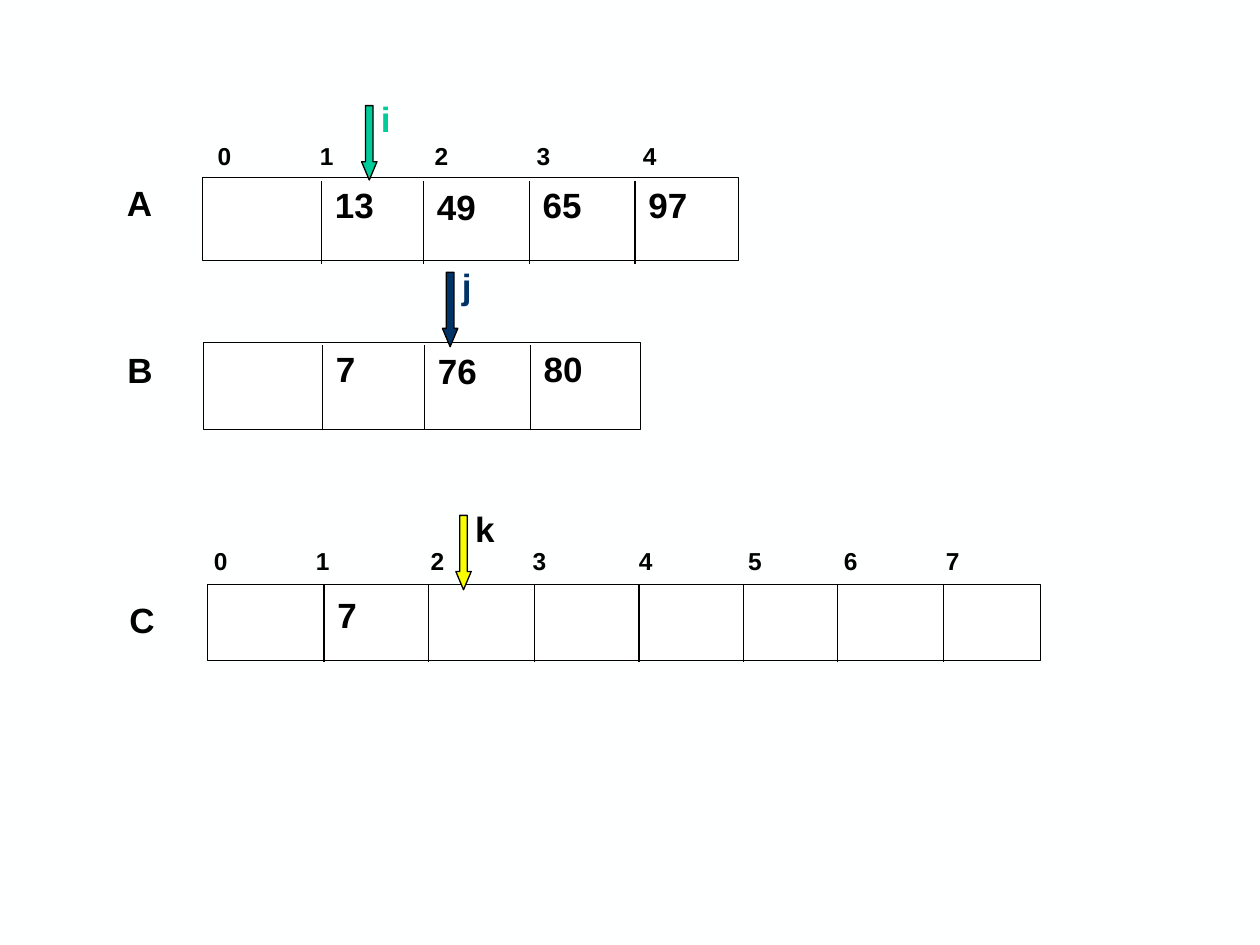
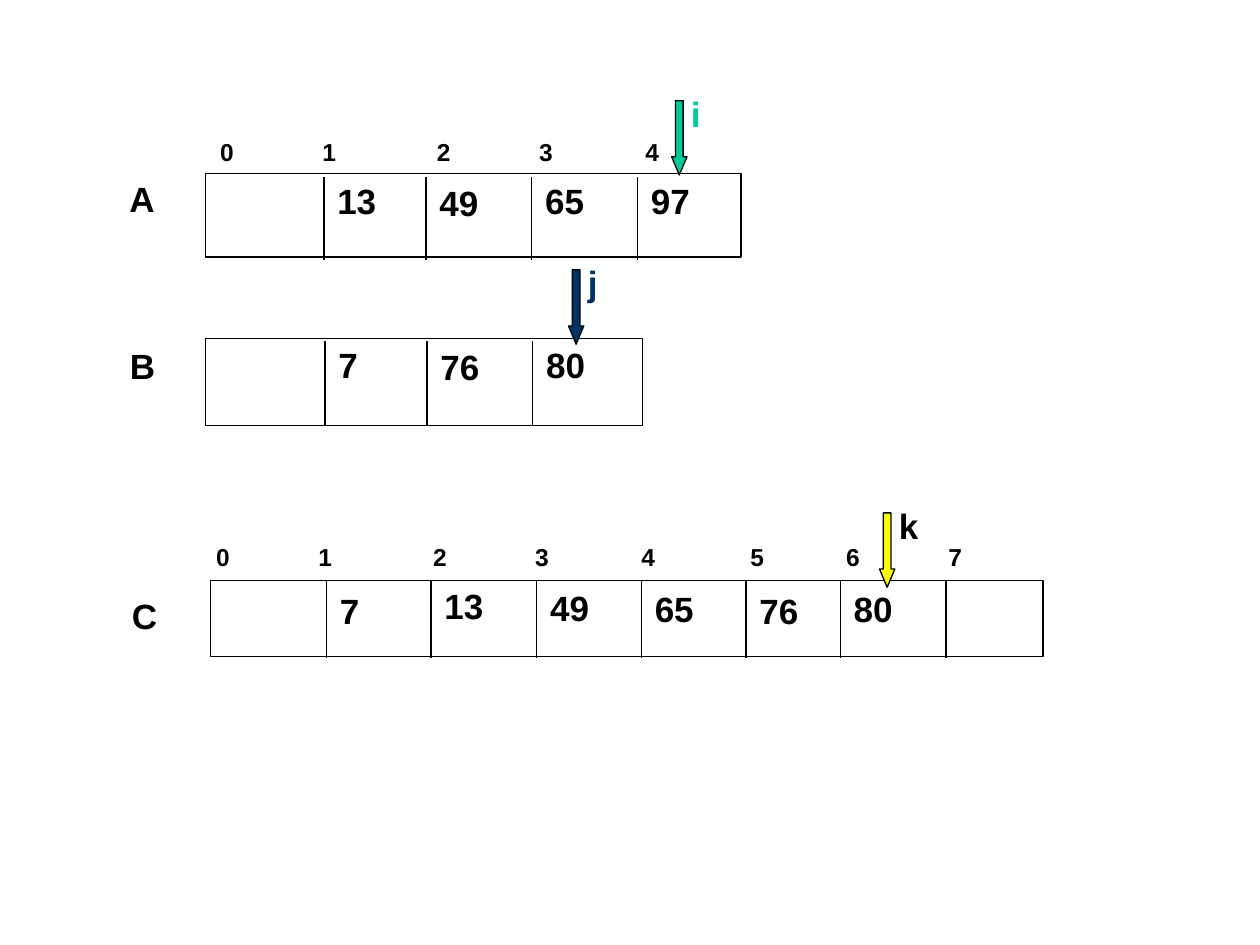
from dataclasses import dataclass

from lxml import etree
from pptx import Presentation
from pptx.dml.color import RGBColor
from pptx.enum.dml import MSO_FILL
from pptx.enum.shapes import MSO_CONNECTOR, MSO_SHAPE
from pptx.enum.text import MSO_AUTO_SIZE
from pptx.oxml.ns import qn
from pptx.util import Cm, Pt

LINE = MSO_CONNECTOR.STRAIGHT
RECT = MSO_SHAPE.RECTANGLE
ARROW = MSO_SHAPE.DOWN_ARROW
GROW = MSO_AUTO_SIZE.SHAPE_TO_FIT_TEXT

PAPER = RGBColor(0xFE, 0xFF, 0xFF)
WHITE = RGBColor(0xFF, 0xFF, 0xFF)
BLACK = RGBColor(0x00, 0x00, 0x00)
GREEN = RGBColor(0x00, 0xCC, 0x99)
NAVY = RGBColor(0x00, 0x33, 0x66)
YELLOW = RGBColor(0xFA, 0xFD, 0x00)

FONT = "Arial"
THIN = Pt(0.75)
STOPS = (2.06, 4.37, 6.43, 8.57, 10.77, 12.7, 14.76)


@dataclass(frozen=True)
class Row:
    name: str
    left: float
    top: float
    width: float
    height: float
    cuts: tuple[float, ...]
    cut_top: float
    cut_len: float
    tag: tuple[float, float]
    index: tuple[float, float] | None = None


@dataclass(frozen=True)
class Mark:
    name: str
    fill: RGBColor
    ink: RGBColor


@dataclass(frozen=True)
class Cell:
    text: str
    drop: float = 0


@dataclass(frozen=True)
class Step:
    shift: tuple[float, float]
    spots: tuple[tuple[float, float], ...]
    merged: tuple[Cell, ...]


ROWS = (
    Row("A", 4.09, 3.58, 10.8, 1.68, (2.39, 4.45, 6.58, 8.71),
        0.07, 1.68, (-1.78, -0.05), (0.05, -0.86)),
    Row("B", 4.1, 6.91, 8.81, 1.75, (2.4, 4.46, 6.59),
        0.05, 1.68, (-1.78, 0)),
    Row("C", 4.19, 11.79, 16.79, 1.52,
        (2.34, 4.45, 6.58, 8.69, 10.8, 12.7, 14.83),
        0, 1.55, (-1.83, 0.15), (-0.13, -0.91)),
)
INPUTS = (
    (Cell("13"), Cell("49", 0.04), Cell("65"), Cell("97")),
    (Cell("7", -0.02), Cell("76", 0.02), Cell("80", -0.02)),
)
MARKS = (
    Mark("i", GREEN, GREEN),
    Mark("j", NAVY, NAVY),
    Mark("k", YELLOW, BLACK),
)
STEPS = (
    Step((0, 0), ((7.29, 2.13), (8.92, 5.49), (9.19, 10.39)),
         (Cell("7", 0.05),)),
    Step((0.05, -0.08), ((13.54, 2.03), (11.46, 5.44), (17.73, 10.34)),
         (Cell("7", 0.05), Cell("13", -0.05), Cell("49", -0.02),
          Cell("65"), Cell("76", 0.05), Cell("80"))),
)


def add_text(shapes, text: str, left: float, top: float, *,
             width: float = 1.7, height: float = 1.12, size: int = 20,
             ink: RGBColor = BLACK, stops: tuple[float, ...] = ()) -> None:
    box = shapes.add_textbox(Cm(left), Cm(top), Cm(width), Cm(height))
    frame = box.text_frame
    frame.word_wrap = True
    frame.auto_size = GROW
    para = frame.paragraphs[0]
    if stops:
        tabs = etree.SubElement(para._p.get_or_add_pPr(), qn("a:tabLst"))
        for stop in stops:
            etree.SubElement(tabs, qn("a:tab"), pos=str(int(Cm(stop))), algn="l")
    run = para.add_run()
    run.text = text
    font = run.font
    font.name, font.size, font.bold = FONT, Pt(size), True
    font.color.rgb = ink


def add_block(shapes, kind: int, left: float, top: float, width: float,
              height: float, fill: RGBColor):
    block = shapes.add_shape(kind, Cm(left), Cm(top), Cm(width), Cm(height))
    block.shadow.inherit = False
    block.fill.solid()
    block.fill.fore_color.rgb = fill
    block.line.color.rgb = BLACK
    block.line.width = THIN
    return block


def add_cut(shapes, x: float, top: float, length: float) -> None:
    cut = shapes.add_connector(LINE, Cm(x), Cm(top), Cm(x), Cm(top + length))
    cut.line.color.rgb = BLACK
    cut.line.width = THIN
    etree.SubElement(cut._element.spPr, qn("a:effectLst"))


def add_row(shapes, row: Row, cells: tuple[Cell, ...],
            shift: tuple[float, float]) -> None:
    left, top = row.left + shift[0], row.top + shift[1]
    add_block(shapes, RECT, left, top, row.width, row.height, WHITE)
    for cut in row.cuts:
        add_cut(shapes, left + cut, top + row.cut_top, row.cut_len)
    for cell, cut in zip(cells, row.cuts):
        add_text(shapes, cell.text, left + cut + 0.02, top + cell.drop)
    add_text(shapes, row.name, left + row.tag[0], top + row.tag[1])
    if row.index:
        count = len(row.cuts)
        add_text(shapes, "\t".join(map(str, range(count + 1))),
                 left + row.index[0], top + row.index[1], width=row.width,
                 height=0.86, size=14, stops=STOPS[:count])


def add_mark(shapes, mark: Mark, spot: tuple[float, float]) -> None:
    left, top = spot
    group = shapes.add_group_shape().shapes
    arrow = add_block(group, ARROW, left, top, 0.31, 1.5, mark.fill)
    arrow.adjustments[0] = 0.5
    arrow.adjustments[1] = 1.19
    add_text(group, mark.name, left + 0.14, top - 0.29, width=1.35, ink=mark.ink)


def main() -> None:
    deck = Presentation()
    deck.slide_width, deck.slide_height = Cm(25.4), Cm(19.05)
    back = deck.slide_master.background.fill
    back.solid()
    back.fore_color.rgb = PAPER
    for step in STEPS:
        shapes = deck.slides.add_slide(deck.slide_layouts[6]).shapes
        for row, cells in zip(ROWS, (*INPUTS, step.merged)):
            add_row(shapes, row, cells, step.shift)
        for mark, spot in zip(MARKS, step.spots):
            add_mark(shapes, mark, spot)
    deck.save("out.pptx")


if __name__ == "__main__":
    main()
